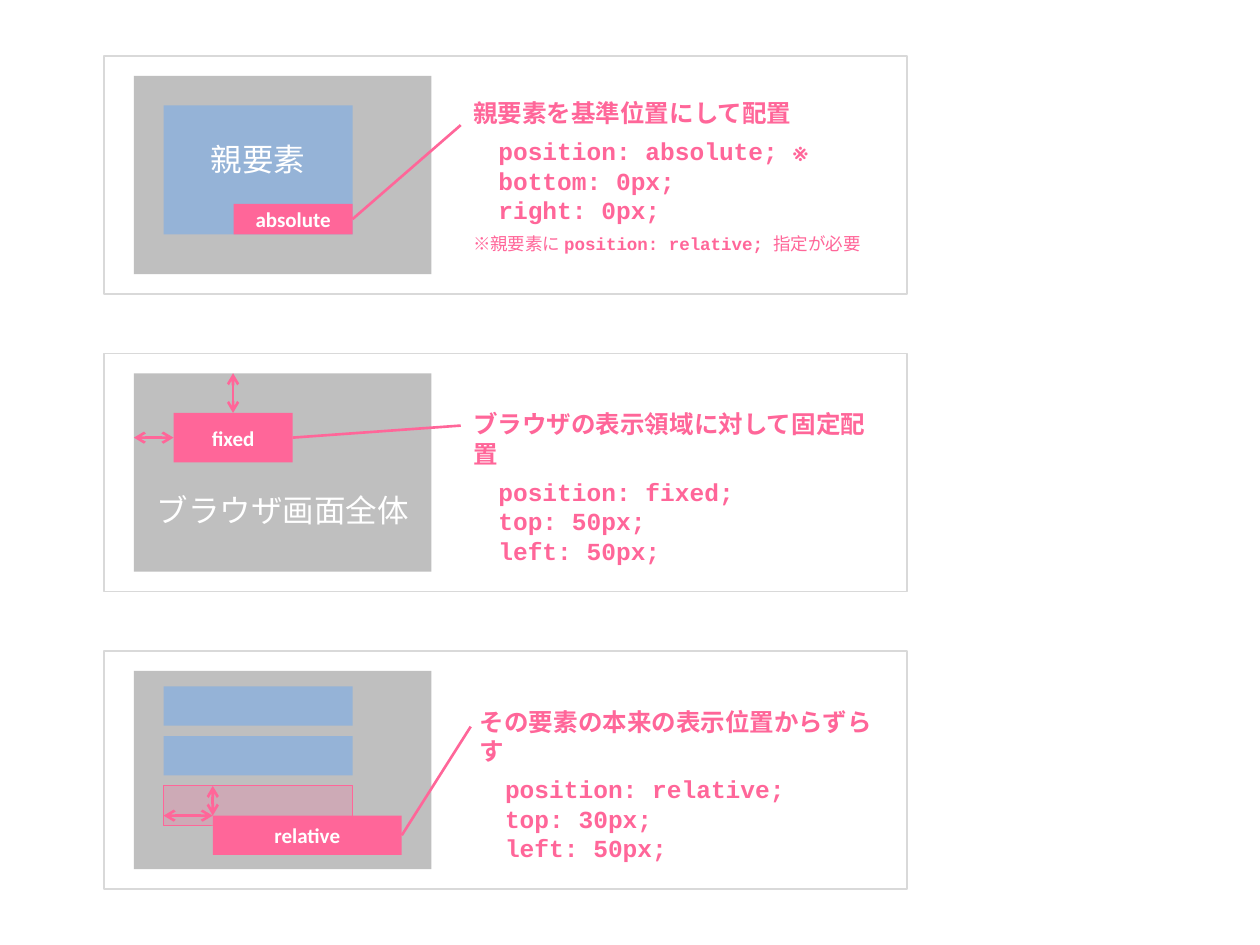
from dataclasses import dataclass
from lxml import etree
from pptx import Presentation
from pptx import util as u
from pptx.dml.color import RGBColor
from pptx.enum import shapes, text
from pptx.oxml import ns


@dataclass(frozen=True)
class Theme:
    pink: str = "FF6699"
    blue: str = "95B3D7"
    gray: str = "BFBFBF"
    border: str = "D9D9D9"
    white: str = "FFFFFF"
    body: str = "Calibri"
    code: str = "Courier New"
    area_size: float = 18
    heading_size: float = 14
    label_size: float = 12
    note_size: float = 10
    gap: float = 5
    indent: float = 14.4
    line: float = 1.5


THEME = Theme()
PANEL_W, PANEL_H = 459, 136
BAR_W, BAR_H = 108, 22.4


def style(span, size, color, bold=False, font=THEME.body):
    span.font.size = u.Pt(size)
    span.font.bold = bold
    span.font.name = font
    span.font.color.rgb = RGBColor.from_string(color)


def add_box(page, origin, area, fill, line=None, width=1, alpha=None):
    x, y, w, h = area
    box = page.shapes.add_shape(shapes.MSO_SHAPE.RECTANGLE, u.Pt(origin[0] + x),
                                u.Pt(origin[1] + y), u.Pt(w), u.Pt(h))
    box.shadow.inherit = False
    box.fill.solid()
    box.fill.fore_color.rgb = RGBColor.from_string(fill)
    if alpha:
        color = box.fill._xPr.find(".//" + ns.qn("a:srgbClr"))
        etree.SubElement(color, ns.qn("a:alpha"), val=str(alpha * 1000))
    if line:
        box.line.color.rgb = RGBColor.from_string(line)
        box.line.width = u.Pt(width)
    else:
        box.line.fill.background()
    return box


def add_label(box, words, size, bold=False, top=3.6, bottom=3.6):
    frame = box.text_frame
    frame.word_wrap = True
    frame.vertical_anchor = text.MSO_ANCHOR.MIDDLE
    frame.margin_top, frame.margin_bottom = u.Pt(top), u.Pt(bottom)
    frame.text = words
    para = frame.paragraphs[0]
    para.alignment = text.PP_ALIGN.CENTER
    style(para.runs[0], size, THEME.white, bold)


def add_tag(page, origin, area, words):
    add_label(add_box(page, origin, area, THEME.pink), words, THEME.label_size, True)


def add_line(page, origin, start, end, arrows=False):
    left, top = origin
    line = page.shapes.add_connector(
        shapes.MSO_CONNECTOR.STRAIGHT, u.Pt(left + start[0]), u.Pt(top + start[1]),
        u.Pt(left + end[0]), u.Pt(top + end[1]))
    line.line.color.rgb = RGBColor.from_string(THEME.pink)
    line.line.width = u.Pt(THEME.line)
    if arrows:
        for end_name in ("a:headEnd", "a:tailEnd"):
            etree.SubElement(line.line._get_or_add_ln(), ns.qn(end_name), type="arrow")
    etree.SubElement(line._element.spPr, ns.qn("a:effectLst"))


def add_notes(page, origin, area, heading, code, remark=()):
    x, y, w, h = area
    box = page.shapes.add_textbox(u.Pt(origin[0] + x), u.Pt(origin[1] + y), u.Pt(w), u.Pt(h))
    frame = box.text_frame
    frame.word_wrap = True
    frame.text = "\n".join([heading, *code])
    title, *rows = frame.paragraphs
    title.space_after = u.Pt(THEME.gap)
    style(title.runs[0], THEME.heading_size, THEME.pink, True)
    for para in rows:
        para._p.get_or_add_pPr().set("marL", str(u.Pt(THEME.indent)))
        style(para.runs[0], THEME.heading_size, THEME.pink, True, THEME.code)
    if remark:
        para = frame.add_paragraph()
        para.space_before = u.Pt(THEME.gap)
        for words, bold in remark:
            span = para.add_run()
            span.text = words
            style(span, THEME.note_size, THEME.pink, bold, THEME.code)


def add_panel(page, origin):
    add_box(page, origin, (0, 0, PANEL_W, PANEL_H), THEME.white, THEME.border)
    return add_box(page, origin, (17, 11.3, 170, 113.4), THEME.gray)


def absolute_panel(page, origin):
    add_panel(page, origin)
    parent = add_box(page, origin, (34, 28.3, BAR_W, 73.7), THEME.blue)
    add_label(parent, "親要素", THEME.area_size, bottom=16.2)
    add_tag(page, origin, (74, 84.5, 68, 17.5), "absolute")
    add_line(page, origin, (142, 93.2), (203.8, 39.5))
    add_notes(page, origin, (203.8, 20.6, 249, 98), "親要素を基準位置にして配置",
              ["position: absolute; ※", "bottom: 0px;", "right: 0px;"],
              [("※親要素に ", False), ("position: relative; ", True), ("指定が必要", False)])


def fixed_panel(page, origin):
    browser = add_panel(page, origin)
    add_label(browser, "ブラウザ画面全体", THEME.area_size, top=46.8)
    add_tag(page, origin, (39.7, 34, 68, 28.3), "fixed")
    add_line(page, origin, (73.7, 11.3), (73.7, 34), True)
    add_line(page, origin, (17, 48.1), (39.7, 48.1), True)
    add_line(page, origin, (107.7, 48.1), (203.8, 41.2))
    add_notes(page, origin, (203.8, 28.4, 249, 81.4), "ブラウザの表示領域に対して固定配置",
              ["position: fixed;", "top: 50px;", "left: 50px;"])


def relative_panel(page, origin):
    add_panel(page, origin)
    first, second, third = (20.3 + 28.4 * row for row in range(3))
    for top in (first, second):
        add_box(page, origin, (34, top, BAR_W, BAR_H), THEME.blue)
    add_box(page, origin, (34, third, BAR_W, BAR_H), THEME.pink, THEME.pink, 0.5, 23)
    add_line(page, origin, (170.1, 105.3), (209.5, 43.2))
    moved_x, moved_y = 62.1, third + 17
    add_tag(page, origin, (moved_x, moved_y, BAR_W, BAR_H), "relative")
    add_line(page, origin, (moved_x, third), (moved_x, moved_y), True)
    add_line(page, origin, (34, moved_y), (moved_x, moved_y), True)
    add_notes(page, origin, (207.6, 28.3, 245.5, 80), "その要素の本来の表示位置からずらす",
              ["position: relative;", "top: 30px;", "left: 50px;"])


deck = Presentation()
deck.slide_width, deck.slide_height = u.Pt(720), u.Pt(540)
page = deck.slides.add_slide(deck.slide_layouts[6])
for index, build in enumerate((absolute_panel, fixed_panel, relative_panel)):
    build(page, (59.5, 32 + 170 * index))
deck.save("out.pptx")
